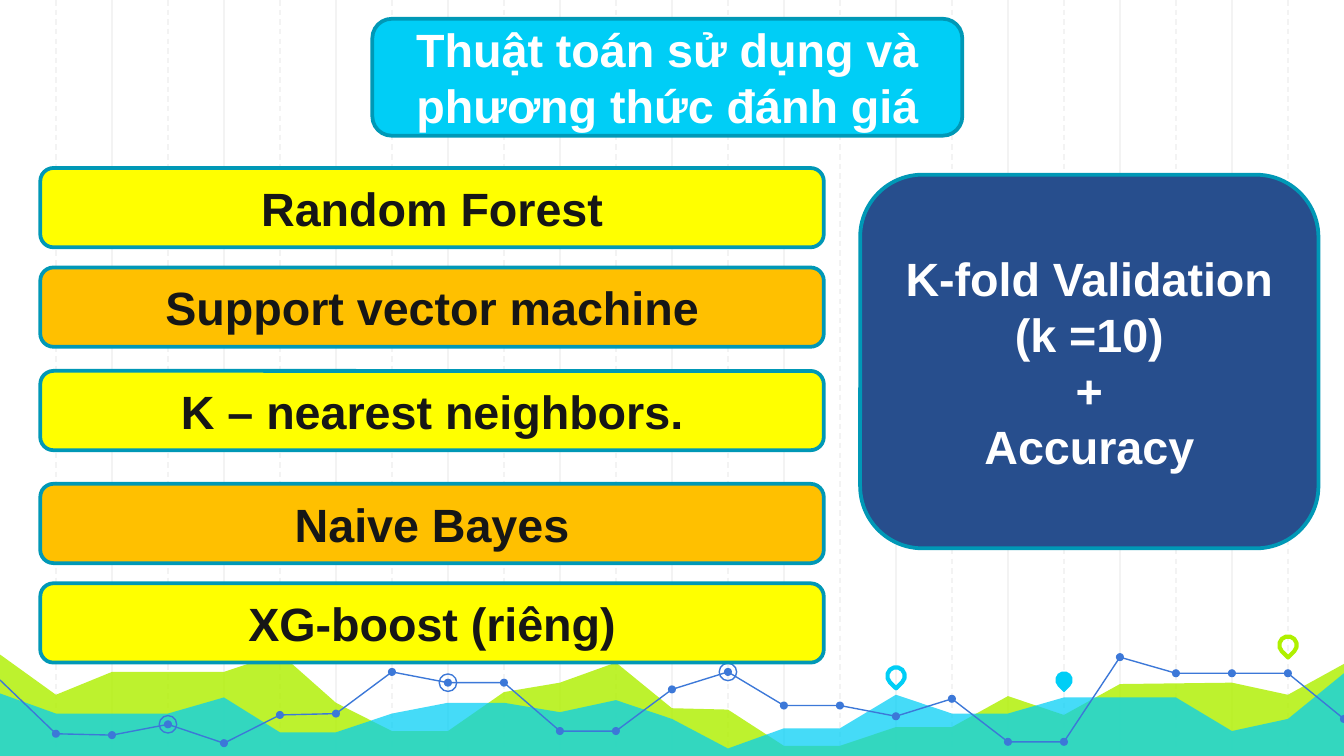
from dataclasses import dataclass

from lxml import etree
from pptx import Presentation
from pptx.dml.color import RGBColor
from pptx.enum.dml import MSO_LINE
from pptx.enum.shapes import MSO_CONNECTOR, MSO_SHAPE
from pptx.enum.text import MSO_ANCHOR, PP_ALIGN
from pptx.oxml.ns import qn
from pptx.util import Inches, Pt

STRAIGHT = MSO_CONNECTOR.STRAIGHT
DASH = MSO_LINE.DASH
ROUND_RECT, ELLIPSE, TEARDROP = (
    MSO_SHAPE.ROUNDED_RECTANGLE, MSO_SHAPE.OVAL, MSO_SHAPE.TEAR)
MIDDLE, CENTER = MSO_ANCHOR.MIDDLE, PP_ALIGN.CENTER


@dataclass(frozen=True)
class Theme:
    font: str = "Arial"
    size: float = 25
    white: str = "FFFFFF"
    ink: str = "161616"
    grid: str = "F3F3F3"
    cyan: str = "00CEF6"
    lime: str = "AFF000"
    blue: str = "3C78D8"
    navy: str = "274E8D"
    teal: str = "0098B6"
    yellow: str = "FFFF00"
    orange: str = "FFC000"


T = Theme()
WIDTH = 10
HEIGHT = WIDTH * 9 / 16
COLUMNS = 24

# Heights by grid column
LIME_HILLS = {
    0: 4.87, 1: 5.17, 2: 5, 4: 5, 5: 4.86, 6: 5.23, 7: 5.44, 8: 5.44,
    9: 5.15, 10: 5.08, 11: 4.93, 12: 5.27, 13: 5.28, 14: 5.55, 15: 5.55,
    16: 5.41, 17: 5.41, 18: 5.18, 19: 5.32, 20: 5.09, 22: 5.08, 23: 5.17,
    24: 4.94}
CYAN_HILLS = {
    0: 5.16, 1: 5.31, 3: 5.31, 4: 5.19, 5: 5.45, 6: 5.45, 7: 5.31, 8: 5.23,
    9: 5.23, 10: 5.3, 11: 5.21, 12: 5.35, 13: 5.57, 14: 5.42, 15: 5.42,
    16: 5.17, 17: 5.31, 18: 5.31, 19: 5.19, 21: 5.19, 22: 5.44, 23: 5.35,
    24: 5.01}
TREND = [5.06, 5.46, 5.47, 5.39, 5.53, 5.32, 5.31, 5, 5.08, 5.08, 5.44,
         5.44, 5.13, 5, 5.25, 5.25, 5.33, 5.2, 5.52, 5.52, 4.89, 5.01, 5.01,
         5.01, 5.35]
RINGED = (3, 8, 13)
# Column, centre height, colour, filled
PINS = [(16, 5.03, T.cyan, False), (19, 5.06, T.cyan, True),
        (23, 4.8, T.lime, False)]

# Top edge, label, fill
ALGORITHMS = [
    (1.25, "Random Forest", T.yellow),
    (1.99, "Support vector machine", T.orange),
    (2.76, "K – nearest neighbors.", T.yellow),
    (3.6, "Naive Bayes", T.orange),
    (4.34, "XG-boost (riêng)", T.yellow),
]


def style(sp, fill=None, line=None, width=0.75, alpha=None):
    """Set fill, outline and opacity, without a shadow."""
    sp.shadow.inherit = False
    if fill:
        sp.fill.solid()
        sp.fill.fore_color.rgb = RGBColor.from_string(fill)
        if alpha:
            clr = sp._element.spPr.find(".//" + qn("a:srgbClr"))
            etree.SubElement(clr, qn("a:alpha"), val=str(alpha * 1000))
    else:
        sp.fill.background()
    if line:
        sp.line.color.rgb = RGBColor.from_string(line)
        sp.line.width = Pt(width)
    else:
        sp.line.fill.background()


def add_centred(s, kind, x, y, size, **look):
    """Add a small square marker centred on a point."""
    sp = s.shapes.add_shape(kind, Inches(x - size / 2), Inches(y - size / 2),
                            Inches(size), Inches(size))
    style(sp, **look)
    return sp


def add_outline(s, points, close, **look):
    points = [(Inches(x), Inches(y)) for x, y in points]
    fb = s.shapes.build_freeform(*points[0])
    fb.add_line_segments(points[1:], close=close)
    style(fb.convert_to_shape(), **look)


def write(sp, text, color=T.ink, size=T.size, bold=True):
    """Write one centred paragraph for each line of text."""
    tf = sp.text_frame
    tf.word_wrap = True
    tf.vertical_anchor = MIDDLE
    for i, line in enumerate(text.split("\n")):
        p = tf.add_paragraph() if i else tf.paragraphs[0]
        p.alignment = CENTER
        r = p.add_run()
        r.text = line
        r.font.name, r.font.size, r.font.bold = T.font, Pt(size), bold
        r.font.color.rgb = RGBColor.from_string(color)


def add_card(s, box, text, fill, **text_format):
    sp = s.shapes.add_shape(ROUND_RECT, *map(Inches, box))
    style(sp, fill=fill, line=T.teal, width=2)
    write(sp, text, **text_format)


def add_grid(s, left, top, width, height):
    """Vertical rules, dashed on the odd columns."""
    for i in range(1, COLUMNS):
        x = Inches(left + i * width / COLUMNS)
        rule = s.shapes.add_connector(STRAIGHT, x, Inches(top),
                                      x, Inches(top + height))
        rule.line.color.rgb = RGBColor.from_string(T.grid)
        rule.line.width = Pt(0.75)
        if i % 2:
            rule.line.dash_style = DASH
        etree.SubElement(rule._element.spPr, qn("a:effectLst"))


def add_landscape(s, left, width, base):
    """Hills, trend line and pins along the bottom edge."""
    def column(i):
        return left + i * width / COLUMNS

    for hills, color, alpha in ((LIME_HILLS, T.lime, 82),
                                (CYAN_HILLS, T.cyan, 73)):
        ridge = [(column(i), y) for i, y in hills.items()]
        corners = [(column(COLUMNS), base), (left, base)]
        add_outline(s, ridge + corners, True, fill=color, alpha=alpha)

    # Trend line with its dots and rings
    trend = [(column(i), y) for i, y in enumerate(TREND)]
    add_outline(s, trend, False, line=T.blue)
    for x, y in trend[1:]:
        add_centred(s, ELLIPSE, x, y, 0.06, fill=T.blue)
    for i in RINGED:
        add_centred(s, ELLIPSE, *trend[i], 0.13, line=T.blue)

    # Map pins
    for i, y, color, filled in PINS:
        look = {"fill": color} if filled else {"line": color, "width": 2.25}
        add_centred(s, TEARDROP, column(i), y, 0.13, **look).rotation = 135


def add_algorithms(s, left, width, height):
    for top, name, fill in ALGORITHMS:
        add_card(s, (left, top, width, height), name, fill)


def main():
    prs = Presentation()
    prs.slide_width, prs.slide_height = Inches(WIDTH), Inches(HEIGHT)
    s = prs.slides.add_slide(prs.slide_layouts[6])

    # Background
    add_grid(s, 0, 0, WIDTH, 5.65)
    add_landscape(s, 0, WIDTH, 5.65)

    # Title, algorithms and evaluation
    add_card(s, (2.77, 0.14, 4.39, 0.87),
             "Thuật toán sử dụng và phương thức đánh giá", T.cyan,
             color=T.white)
    add_algorithms(s, 0.3, 5.83, 0.59)
    add_card(s, (6.4, 1.3, 3.41, 2.78),
             "K-fold Validation\n(k =10)\n+\nAccuracy", T.navy, color=T.white)

    prs.save("out.pptx")


if __name__ == "__main__":
    main()
